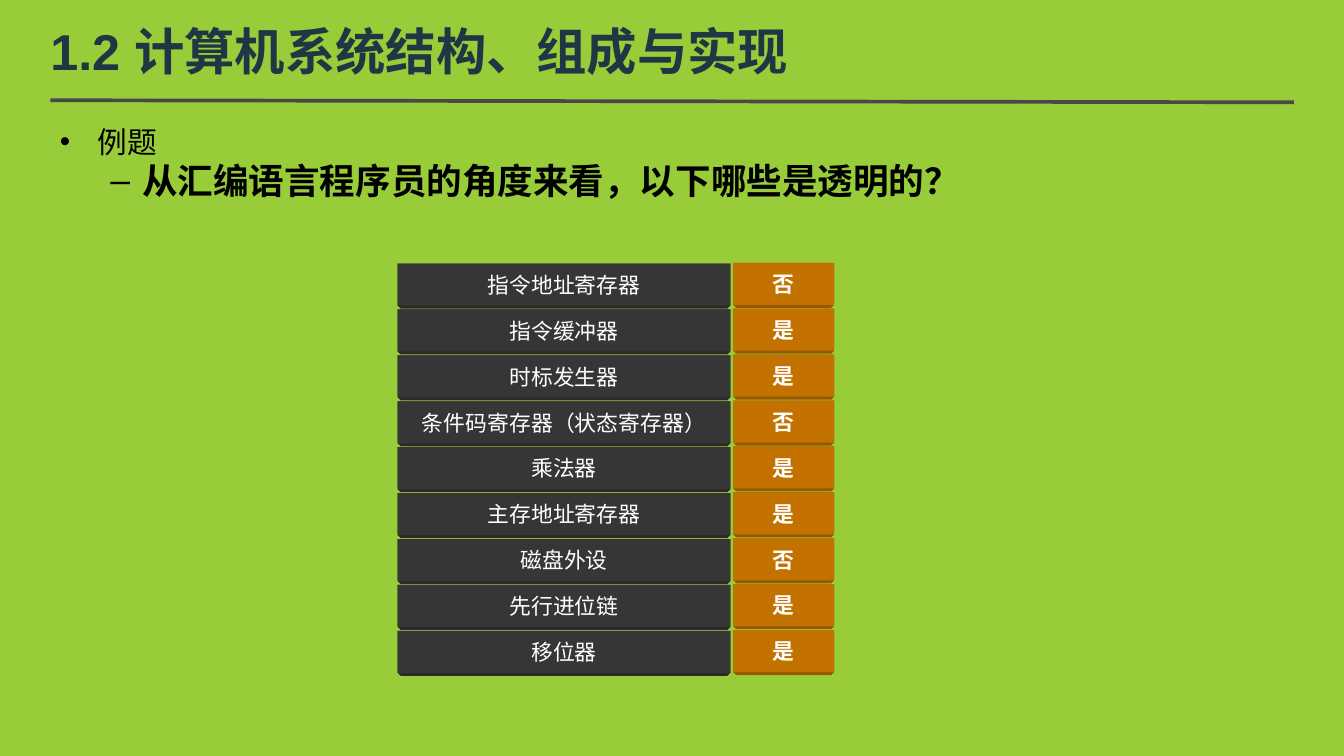
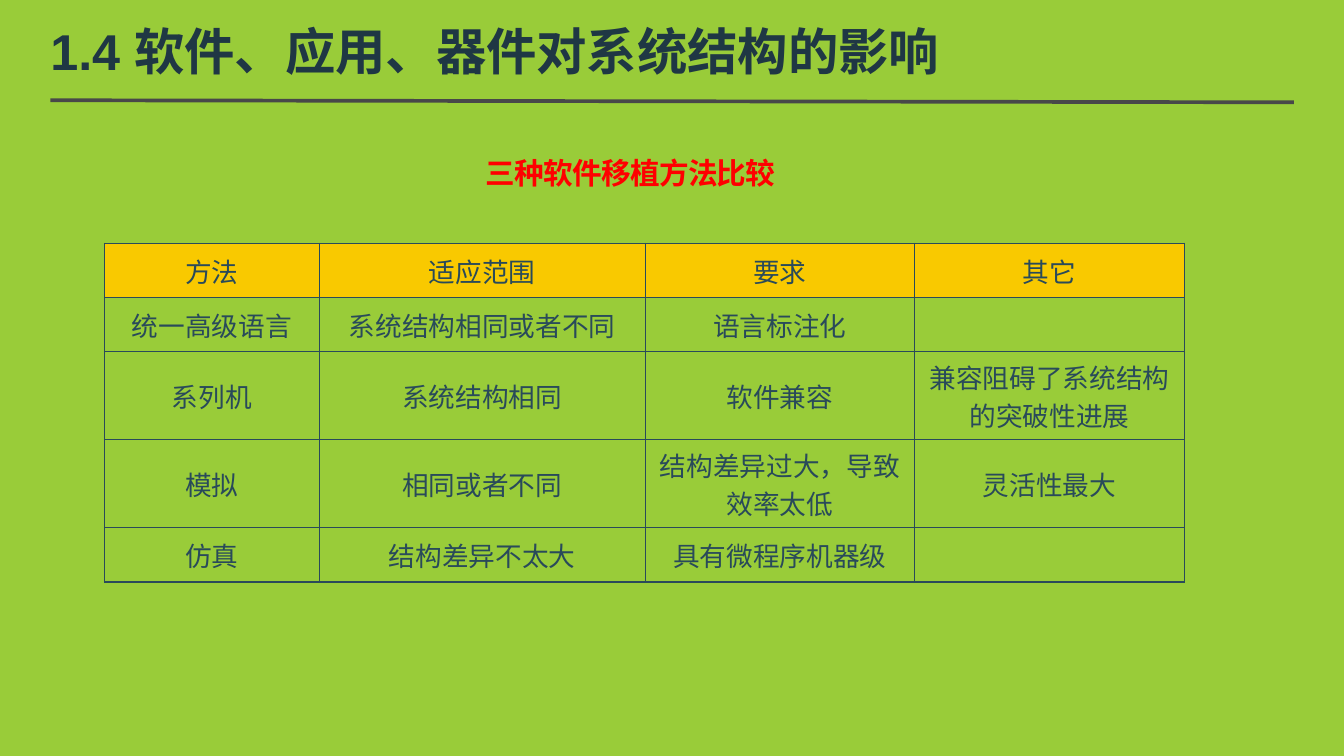
from lxml import etree
from pptx import Presentation
from pptx.dml.color import RGBColor
from pptx.enum.shapes import MSO_CONNECTOR, MSO_SHAPE
from pptx.enum.text import MSO_ANCHOR, MSO_AUTO_SIZE, PP_ALIGN
from pptx.oxml.ns import qn
from pptx.util import Pt

LEFT, CENTER = PP_ALIGN.LEFT, PP_ALIGN.CENTER
TOP, MIDDLE = MSO_ANCHOR.TOP, MSO_ANCHOR.MIDDLE
RECTANGLE, SNIPPED = MSO_SHAPE.RECTANGLE, MSO_SHAPE.SNIP_2_SAME_RECTANGLE
STRAIGHT = MSO_CONNECTOR.STRAIGHT
NO_AUTOFIT = MSO_AUTO_SIZE.NONE

GREEN = RGBColor(0x99, 0xCC, 0x39)
NAVY = RGBColor(0x1F, 0x37, 0x44)
TEAL = RGBColor(0x29, 0x4A, 0x5A)
GRAY = RGBColor(0x48, 0x48, 0x49)
CHARCOAL = RGBColor(0x36, 0x36, 0x36)
CHARCOAL_EDGE = RGBColor(0x2A, 0x2A, 0x2A)
ORANGE = RGBColor(0xC3, 0x72, 0x00)
ORANGE_EDGE = RGBColor(0x96, 0x58, 0x00)
YELLOW = RGBColor(0xF9, 0xC9, 0x00)
RED = RGBColor(0xFF, 0x00, 0x00)
WHITE = RGBColor(0xFF, 0xFF, 0xFF)
BLACK = RGBColor(0x00, 0x00, 0x00)

LATIN_FONT = "Arial"
CHINESE_FONT = "Noto Sans CJK SC"
CONTENT_LAYOUT, TITLE_LAYOUT = 1, 5
EDGE = 2  # height of the darker lower edge of a tile

REGISTERS = [
    ("指令地址寄存器", "否"),
    ("指令缓冲器", "是"),
    ("时标发生器", "是"),
    ("条件码寄存器（状态寄存器）", "否"),
    ("乘法器", "是"),
    ("主存地址寄存器", "是"),
    ("磁盘外设", "否"),
    ("先行进位链", "是"),
    ("移位器", "是"),
]

METHODS = [
    ("方法", "适应范围", "要求", "其它"),
    ("统一高级语言", "系统结构相同或者不同", "语言标注化", ""),
    ("系列机", "系统结构相同", "软件兼容", "兼容阻碍了系统结构的突破性进展"),
    ("模拟", "相同或者不同", "结构差异过大，导致效率太低", "灵活性最大"),
    ("仿真", "结构差异不太大", "具有微程序机器级", ""),
]


class Deck:
    """Holds the shared style and the slide being built."""

    def __init__(self):
        self.presentation = Presentation()
        self.presentation.slide_width = Pt(907.2)
        self.presentation.slide_height = Pt(510.48)
        fill = self.presentation.slide_master.background.fill
        fill.solid()
        fill.fore_color.rgb = GREEN
        self.slide = None

    def add_slide(self, title, layout):
        layouts = self.presentation.slide_layouts
        self.slide = self.presentation.slides.add_slide(layouts[layout])
        shape = self.slide.shapes.title
        self.place(shape, 34, 11.5, 839, 45.5)
        self.frame(shape.text_frame, MIDDLE, 0, 0)
        shape.text_frame.text = title
        self.format(shape.text_frame.paragraphs[0], 34, NAVY, True, LEFT, LATIN_FONT)
        self.rule()

    def rule(self):
        line = self.slide.shapes.add_connector(
            STRAIGHT, Pt(34), Pt(67.7), Pt(873.4), Pt(69.1))
        line.line.color.rgb = GRAY
        line.line.width = Pt(2.5)
        etree.SubElement(line._element.spPr, qn("a:effectLst"))

    def place(self, shape, left, top, width, height):
        shape.left, shape.top = Pt(left), Pt(top)
        shape.width, shape.height = Pt(width), Pt(height)

    def frame(self, text_frame, anchor, side, end):
        text_frame.word_wrap = True
        text_frame.auto_size = NO_AUTOFIT
        text_frame.vertical_anchor = anchor
        text_frame.margin_left = text_frame.margin_right = Pt(side)
        text_frame.margin_top = text_frame.margin_bottom = Pt(end)

    def format(self, paragraph, size, color, bold=False, align=CENTER,
               font_name=CHINESE_FONT):
        paragraph.alignment = align
        for run in paragraph.runs:
            font = run.font
            font.size, font.bold, font.name = Pt(size), bold, font_name
            font.color.rgb = color
            east_asian = etree.SubElement(run._r.get_or_add_rPr(), qn("a:ea"))
            east_asian.set("typeface", CHINESE_FONT)

    def bullets(self, items):
        """Each item: text, level, size, bold, bullet, indent, hanging."""
        shape = self.slide.placeholders[1]
        self.place(shape, 34, 80, 839, 358)
        text_frame = shape.text_frame
        self.frame(text_frame, TOP, 6.5, 3.6)
        for index, (text, level, size, bold, bullet, indent, hanging) in enumerate(items):
            paragraph = text_frame.add_paragraph() if index else text_frame.paragraphs[0]
            paragraph.text = text
            paragraph.level = level
            paragraph.space_before = Pt(0)
            properties = paragraph._p.get_or_add_pPr()
            properties.set("marL", str(Pt(indent)))
            properties.set("indent", str(-Pt(hanging)))
            etree.SubElement(properties, qn("a:buChar")).set("char", bullet)
            self.format(paragraph, size, BLACK, bold, LEFT)

    def block(self, kind, left, top, width, height, color):
        shape = self.slide.shapes.add_shape(
            kind, Pt(left), Pt(top), Pt(width), Pt(height))
        shape.shadow.inherit = False
        shape.fill.solid()
        shape.fill.fore_color.rgb = color
        shape.line.fill.background()
        return shape

    def tile(self, text, left, top, width, height, color, edge_color, bold=False):
        edge = self.block(SNIPPED, left, top, width, height, edge_color)
        edge.adjustments[0], edge.adjustments[1] = 0, EDGE / height
        face = self.block(RECTANGLE, left, top, width, height - EDGE, color)
        self.frame(face.text_frame, MIDDLE, 0, 0)
        face.text_frame.text = text
        self.format(face.text_frame.paragraphs[0], 14.7, WHITE, bold)

    def caption(self, text, left, top, width, height):
        shape = self.slide.shapes.add_textbox(Pt(left), Pt(top), Pt(width), Pt(height))
        self.frame(shape.text_frame, TOP, 5, 2.2)
        shape.text_frame.text = text
        paragraph = shape.text_frame.paragraphs[0]
        paragraph.line_spacing = 0.9
        self.format(paragraph, 20, RED, True)
        paragraph.runs[0]._r.get_or_add_rPr().set("spc", "-50")

    def table(self, rows, left, top, widths, heights):
        table = self.slide.shapes.add_table(
            len(rows), len(widths), Pt(left), Pt(top),
            Pt(sum(widths)), Pt(sum(heights))).table
        table.first_row = table.horz_banding = False
        for column, width in zip(table.columns, widths):
            column.width = Pt(width)
        for row, height, texts in zip(table.rows, heights, rows):
            row.height = Pt(height)
            for cell, text in zip(row.cells, texts):
                cell.vertical_anchor = MIDDLE
                if text:
                    cell.text_frame.text = text
                    self.format(cell.text_frame.paragraphs[0], 18, TEAL,
                                font_name=LATIN_FONT)
                self.borders(cell)
                if texts is rows[0]:
                    cell.fill.solid()
                    cell.fill.fore_color.rgb = YELLOW
                else:
                    cell.fill.background()

    def borders(self, cell):
        properties = cell._tc.get_or_add_tcPr()
        for side in ("lnL", "lnR", "lnT", "lnB"):
            line = etree.SubElement(properties, qn(f"a:{side}"), w=str(Pt(1)))
            fill = etree.SubElement(line, qn("a:solidFill"))
            etree.SubElement(fill, qn("a:srgbClr"), val=str(TEAL))


def main():
    deck = Deck()

    # Exercise: which parts are transparent
    deck.add_slide("1.2 计算机系统结构、组成与实现", CONTENT_LAYOUT)
    deck.bullets([
        ("例题", 0, 20, False, "•", 25.5, 25.5),
        ("从汇编语言程序员的角度来看，以下哪些是透明的？", 1, 24, True, "–", 55.5, 21.5),
    ])
    for index, (register, answer) in enumerate(REGISTERS):
        top = 178 + 31 * index
        deck.tile(register, 268.5, top, 224.5, 30.4, CHARCOAL, CHARCOAL_EDGE)
        deck.tile(answer, 495, top - 0.5, 68, 30.4, ORANGE, ORANGE_EDGE, True)

    # Comparison of porting methods
    deck.add_slide("1.4 软件、应用、器件对系统结构的影响", TITLE_LAYOUT)
    deck.caption("三种软件移植方法比较", 312, 105, 227, 34)
    deck.table(METHODS, 70.5, 164.2, [145, 220, 182, 182],
               [36.7, 36.7, 59.4, 59.4, 36.7])

    deck.presentation.save("out.pptx")


if __name__ == "__main__":
    main()
